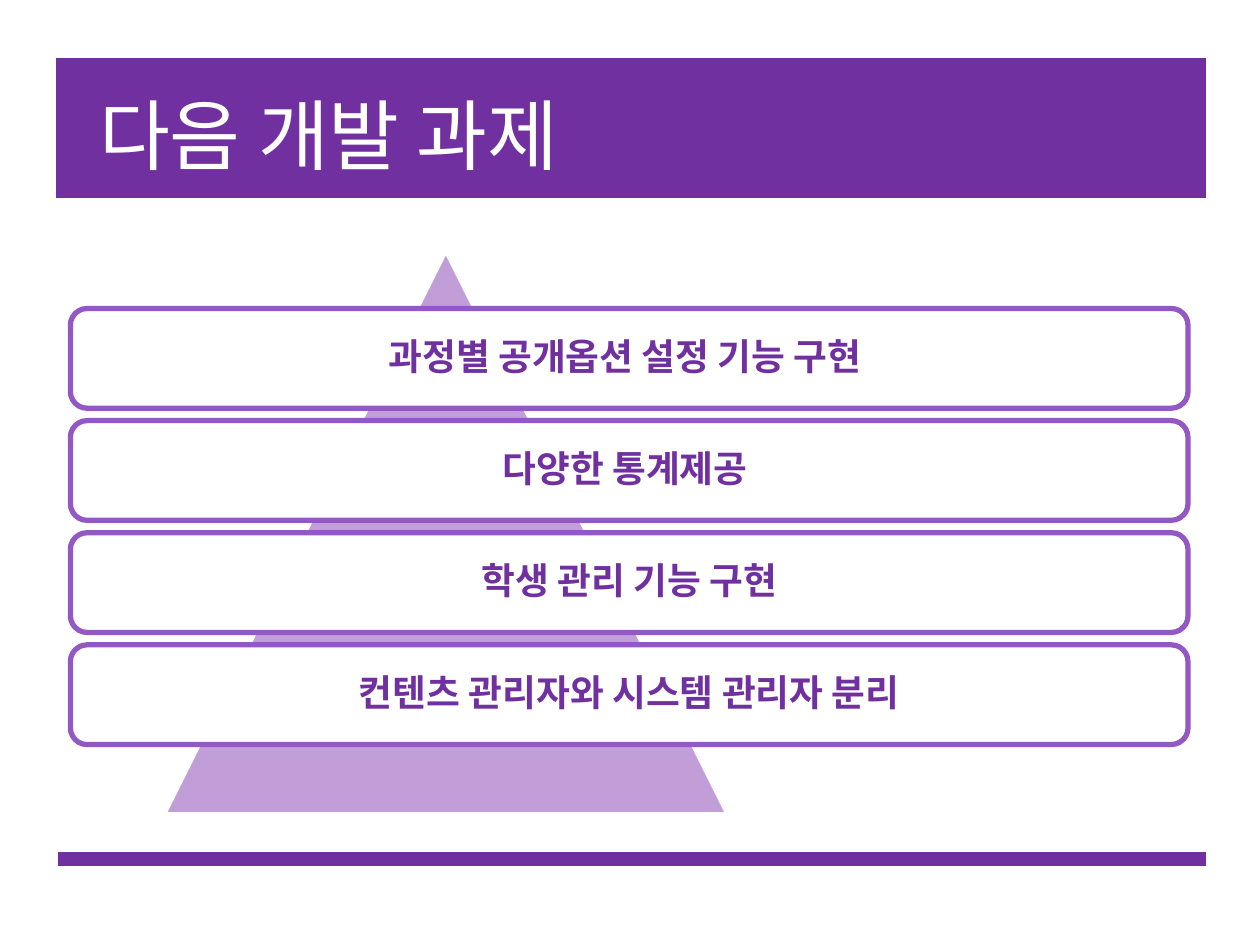
from dataclasses import dataclass

from lxml.etree import SubElement
from pptx import Presentation
from pptx.dml.color import RGBColor
from pptx.enum.shapes import MSO_CONNECTOR as Connector, MSO_SHAPE as Shape
from pptx.enum.text import MSO_ANCHOR as Anchor, PP_ALIGN as Align
from pptx.oxml.ns import qn
from pptx.util import Cm, Pt

COLORS = {
    "purple": "7030A0",
    "border": "9358C4",
    "lilac": "C19ED8",
    "white": "FFFFFF",
}
FONT = "Calibri"


@dataclass
class Bar:
    left: float
    y: float
    weight: float
    right: float = 24.31


@dataclass
class TextStyle:
    size: float
    color: str
    align: Align
    bold: bool = False


BARS = [Bar(1.12, 2.59, 80), Bar(1.17, 17.32, 8)]
TITLE_STYLE = TextStyle(44, "white", Align.LEFT)
CARD_STYLE = TextStyle(21, "purple", Align.CENTER, bold=True)
TASKS = [
    "과정별 공개옵션 설정 기능 구현 ",
    "다양한 통계제공 ",
    "학생 관리 기능 구현",
    "컨텐츠 관리자와 시스템 관리자 분리",
]
CARD_LEFT, CARD_TOP, CARD_WIDTH, CARD_HEIGHT = 1.42, 6.22, 22.53, 2.01
CARD_PITCH = 2.26


def color(name: str) -> RGBColor:
    return RGBColor.from_string(COLORS[name])


def draw_bar(page, bar: Bar) -> None:
    line = page.shapes.add_connector(
        Connector.STRAIGHT, Cm(bar.left), Cm(bar.y), Cm(bar.right), Cm(bar.y)
    )
    line.line.color.rgb = color("purple")
    line.line.width = Pt(bar.weight)
    SubElement(line._element.spPr, qn("a:effectLst"))


def draw_shape(page, kind: Shape, left: float, top: float, width: float,
               height: float, fill: str, border: str, weight: float):
    shape = page.shapes.add_shape(kind, Cm(left), Cm(top), Cm(width), Cm(height))
    shape.shadow.inherit = False
    shape.fill.solid()
    shape.fill.fore_color.rgb = color(fill)
    shape.line.color.rgb = color(border)
    shape.line.width = Pt(weight)
    return shape


def write_text(box, text: str, style: TextStyle) -> None:
    frame = box.text_frame
    frame.word_wrap = True
    frame.vertical_anchor = Anchor.MIDDLE
    para = frame.paragraphs[0]
    para.alignment = style.align
    para.line_spacing = 0.9
    span = para.add_run()
    span.text = text
    span.font.name = FONT
    span.font.size = Pt(style.size)
    span.font.bold = style.bold
    span.font.color.rgb = color(style.color)


def main() -> None:
    deck = Presentation()
    deck.slide_width, deck.slide_height = Cm(25.4), Cm(19.05)
    page = deck.slides.add_slide(deck.slide_layouts[6])

    # Title band and footer rule
    for bar in BARS:
        draw_bar(page, bar)
    title = page.shapes.add_textbox(Cm(1.75), Cm(1.65), Cm(21.89), Cm(2.34))
    write_text(title, "다음 개발 과제", TITLE_STYLE)

    # Pyramid behind the task cards
    draw_shape(page, Shape.ISOSCELES_TRIANGLE, 3.35, 5.11, 11.28, 11.28,
               "lilac", "white", 1)

    # Task cards
    for index, task in enumerate(TASKS):
        card = draw_shape(page, Shape.ROUNDED_RECTANGLE, CARD_LEFT,
                          CARD_TOP + index * CARD_PITCH, CARD_WIDTH,
                          CARD_HEIGHT, "white", "border", 3)
        write_text(card, task, CARD_STYLE)

    deck.save("out.pptx")


if __name__ == "__main__":
    main()
